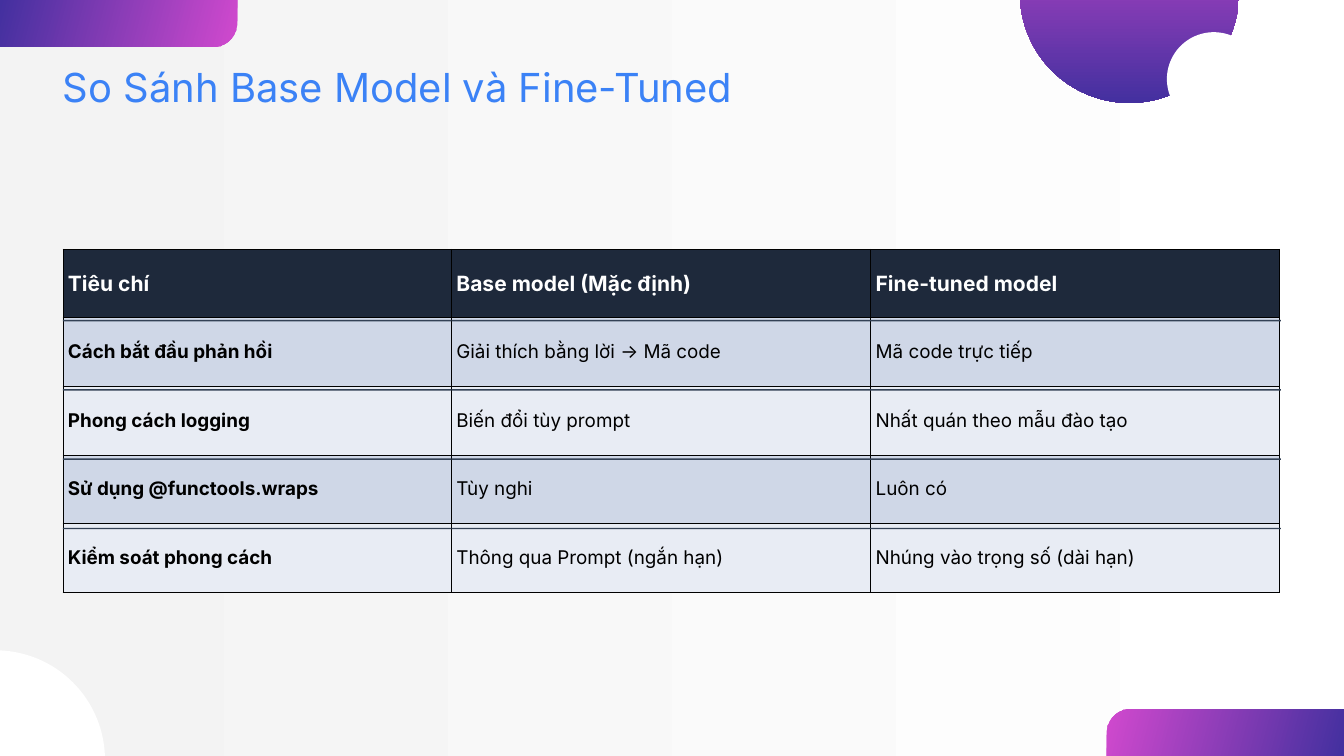
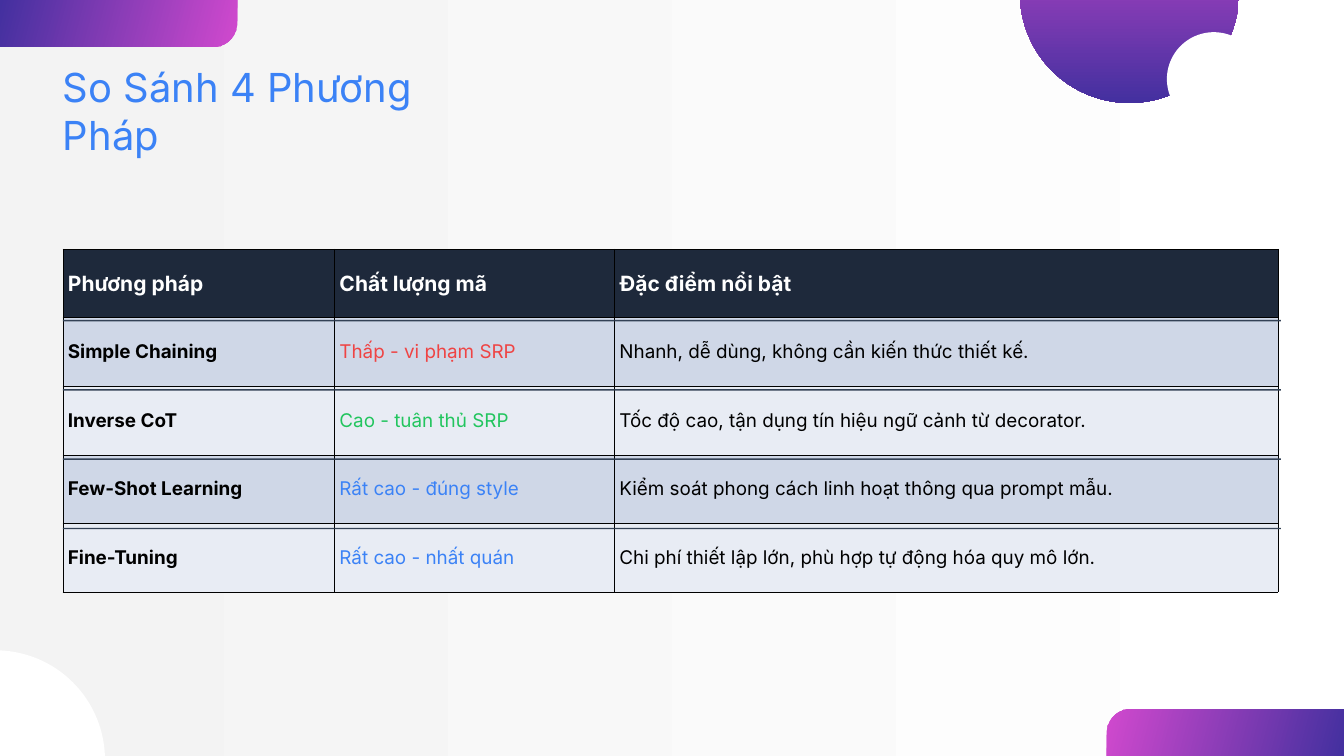
import math
from dataclasses import dataclass
from itertools import accumulate

import pptx
import pptx.dml.color
import pptx.enum.shapes
import pptx.enum.text
import pptx.oxml
import pptx.oxml.ns
import pptx.util

PX = 9525  # EMU in one px: the page is 1920 px wide
PAGE_WIDTH, PAGE_HEIGHT = 1920, 1080
MARGIN = 90
TITLE_ONLY = 5


@dataclass(frozen=True)
class Theme:
    font: str = "Inter"
    title_size: float = 42.8
    title_leading: float = 51.3
    header_size: float = 22.5
    header_leading: float = 27
    body_size: float = 20.2
    body_leading: float = 24.3
    paper: tuple = ("FFFFFF", "F3F3F3")
    accent: tuple = ("D149CE", "43309F")
    white: str = "FFFFFF"
    black: str = "000000"
    header: str = "1E293B"
    bands: tuple = ("CFD7E7", "E8ECF4")
    rule: str = "334155"
    blue: str = "3B82F6"
    red: str = "EF4444"
    green: str = "22C55E"


THEME = Theme()


# Shared helpers
def emu(*lengths):
    return [pptx.util.Emu(length * PX) for length in lengths]


def set_all(target, formats):
    for name, value in formats.items():
        setattr(target, name, value)


def paint(fill, colour, angle=0):
    """Fill with one colour, or with a pair as a gradient turned clockwise."""
    if isinstance(colour, str):
        fill.solid()
        fill.fore_color.rgb = pptx.dml.color.RGBColor.from_string(colour)
        return
    fill.gradient()
    fill.gradient_angle = (360 - angle) % 360
    for stop, stop_colour in zip(fill.gradient_stops, colour):
        stop.color.rgb = pptx.dml.color.RGBColor.from_string(stop_colour)


def finish(shape, colour, angle=0):
    shape.shadow.inherit = False
    shape.line.fill.background()
    paint(shape.fill, colour, angle)


def add_filled(page, kind, box, colour, angle=0):
    shape = page.shapes.add_shape(kind, *emu(*box))
    finish(shape, colour, angle)


def write(frame, text, size, leading, colour, bold=False, angle=0):
    para = frame.paragraphs[0]
    set_all(para, {
        "alignment": pptx.enum.text.PP_ALIGN.LEFT,
        "line_spacing": pptx.util.Pt(leading),
        "space_before": pptx.util.Pt(0),
    })
    span = para.add_run()
    span.text = text
    set_all(span.font, {"name": THEME.font, "size": pptx.util.Pt(size), "bold": bold})
    paint(span.font.fill, colour, angle)


# Page decoration
def add_corner_tab(page, box, rotation):
    """Bar with its top left corner rounded, turned to fit its page corner."""
    left, top, width, height = box
    radius, steps = 34, 16
    angles = [math.pi / 2 * step / steps for step in range(steps + 1)]
    arc = [(radius * (1 - math.sin(a)), radius * (1 - math.cos(a))) for a in angles]
    builder = page.shapes.build_freeform(width, 0, scale=PX)
    builder.add_line_segments(arc + [(0, height), (width, height)], close=True)
    tab = builder.convert_to_shape(*emu(left, top))
    tab.rotation = rotation
    finish(tab, THEME.accent, 15)


def decorate(page):
    paint(page.background.fill, THEME.paper, 180)
    width, height = 339, 67
    add_corner_tab(page, (PAGE_WIDTH - width, PAGE_HEIGHT - height, width, height), 0)
    add_corner_tab(page, (0, 0, width, height), 180)
    oval = pptx.enum.shapes.MSO_SHAPE.OVAL
    add_filled(page, oval, (-163, 929, 313, 313), THEME.white)
    add_filled(page, oval, (1457, -166, 313, 313), THEME.accent, 90)
    add_filled(page, oval, (1667, 46, 134, 134), THEME.white)


# Title
def set_title(page, text, box):
    title = page.shapes.title
    set_all(title, dict(zip(("left", "top", "width", "height"), emu(*box))))
    set_all(title.text_frame, {
        "margin_left": 0, "margin_right": 0, "margin_top": 0, "margin_bottom": 0,
        "word_wrap": True,
        "vertical_anchor": pptx.enum.text.MSO_ANCHOR.TOP,
        "auto_size": pptx.enum.text.MSO_AUTO_SIZE.SHAPE_TO_FIT_TEXT,
    })
    write(title.text_frame, text, THEME.title_size, THEME.title_leading, THEME.blue)


# Comparison table
def add_borders(cell):
    properties = cell._tc.get_or_add_tcPr()
    for side in "LRTB":
        properties.append(pptx.oxml.parse_xml(
            f'<a:ln{side} {pptx.oxml.ns.nsdecls("a")} w="9525"><a:solidFill>'
            f'<a:srgbClr val="{THEME.black}"/></a:solidFill></a:ln{side}>'))


def fill_cell(cell, text, row, column, colour):
    margin = pptx.util.Emu(7 * PX)
    set_all(cell, {
        "margin_left": margin, "margin_right": margin,
        "margin_top": margin, "margin_bottom": margin,
        "vertical_anchor": pptx.enum.text.MSO_ANCHOR.MIDDLE,
    })
    add_borders(cell)
    if row == 0:
        paint(cell.fill, THEME.header)
        write(cell.text_frame, text, THEME.header_size, THEME.header_leading,
              THEME.paper, True, 180)
    else:
        paint(cell.fill, THEME.bands[(row - 1) % 2])
        write(cell.text_frame, text, THEME.body_size, THEME.body_leading,
              colour, column == 0)


def add_comparison(page, box, widths, rows, ratings):
    """Table whose middle column takes the rating colours, with rules over it."""
    left, top, rule_width, row_height = box
    frame = page.shapes.add_table(
        len(rows), len(widths),
        *emu(left, top, sum(widths), row_height * len(rows)))
    table = frame.table
    for column, width in zip(table.columns, widths):
        column.width = pptx.util.Emu(width * PX)
    for row, texts in enumerate(rows):
        table.rows[row].height = pptx.util.Emu(row_height * PX)
        for column, text in enumerate(texts):
            rated = ratings and row and column == 1
            colour = ratings[row - 1] if rated else THEME.black
            fill_cell(table.cell(row, column), text, row, column, colour)

    # Rules under each row but the last, one piece per column
    edges = [left, *accumulate(widths[:-1], initial=left)][1:] + [left + rule_width]
    for row in range(len(rows) - 1):
        rule_top = top + 101 + row * (row_height + 1)
        for start, end in zip(edges, edges[1:]):
            add_filled(page, pptx.enum.shapes.MSO_SHAPE.RECTANGLE,
                       (start, rule_top, end - start, 2), THEME.rule)


def add_comparison_page(deck, title, title_width, widths, rows, ratings=()):
    page = deck.slides.add_slide(deck.slide_layouts[TITLE_ONLY])
    decorate(page)
    set_title(page, title, (MARGIN, MARGIN, title_width, 68))
    add_comparison(page, (MARGIN, 356, PAGE_WIDTH - 2 * MARGIN, 98),
                   widths, rows, ratings)


MODEL_ROWS = [
    ("Tiêu chí", "Base model (Mặc định)", "Fine-tuned model"),
    ("Cách bắt đầu phản hồi", "Giải thích bằng lời → Mã code", "Mã code trực tiếp"),
    ("Phong cách logging", "Biến đổi tùy prompt", "Nhất quán theo mẫu đào tạo"),
    ("Sử dụng @functools.wraps", "Tùy nghi", "Luôn có"),
    ("Kiểm soát phong cách", "Thông qua Prompt (ngắn hạn)",
     "Nhúng vào trọng số (dài hạn)"),
]
METHOD_ROWS = [
    ("Phương pháp", "Chất lượng mã", "Đặc điểm nổi bật"),
    ("Simple Chaining", "Thấp - vi phạm SRP",
     "Nhanh, dễ dùng, không cần kiến thức thiết kế."),
    ("Inverse CoT", "Cao - tuân thủ SRP",
     "Tốc độ cao, tận dụng tín hiệu ngữ cảnh từ decorator."),
    ("Few-Shot Learning", "Rất cao - đúng style",
     "Kiểm soát phong cách linh hoạt thông qua prompt mẫu."),
    ("Fine-Tuning", "Rất cao - nhất quán",
     "Chi phí thiết lập lớn, phù hợp tự động hóa quy mô lớn."),
]


def main():
    deck = pptx.Presentation()
    deck.slide_width, deck.slide_height = emu(PAGE_WIDTH, PAGE_HEIGHT)
    add_comparison_page(deck, "So Sánh Base Model và Fine-Tuned", 1827,
                        (555, 599, 584), MODEL_ROWS)
    add_comparison_page(deck, "So Sánh 4 Phương Pháp", 643,
                        (388, 400, 948), METHOD_ROWS,
                        (THEME.red, THEME.green, THEME.blue, THEME.blue))
    deck.save("out.pptx")


if __name__ == "__main__":
    main()
